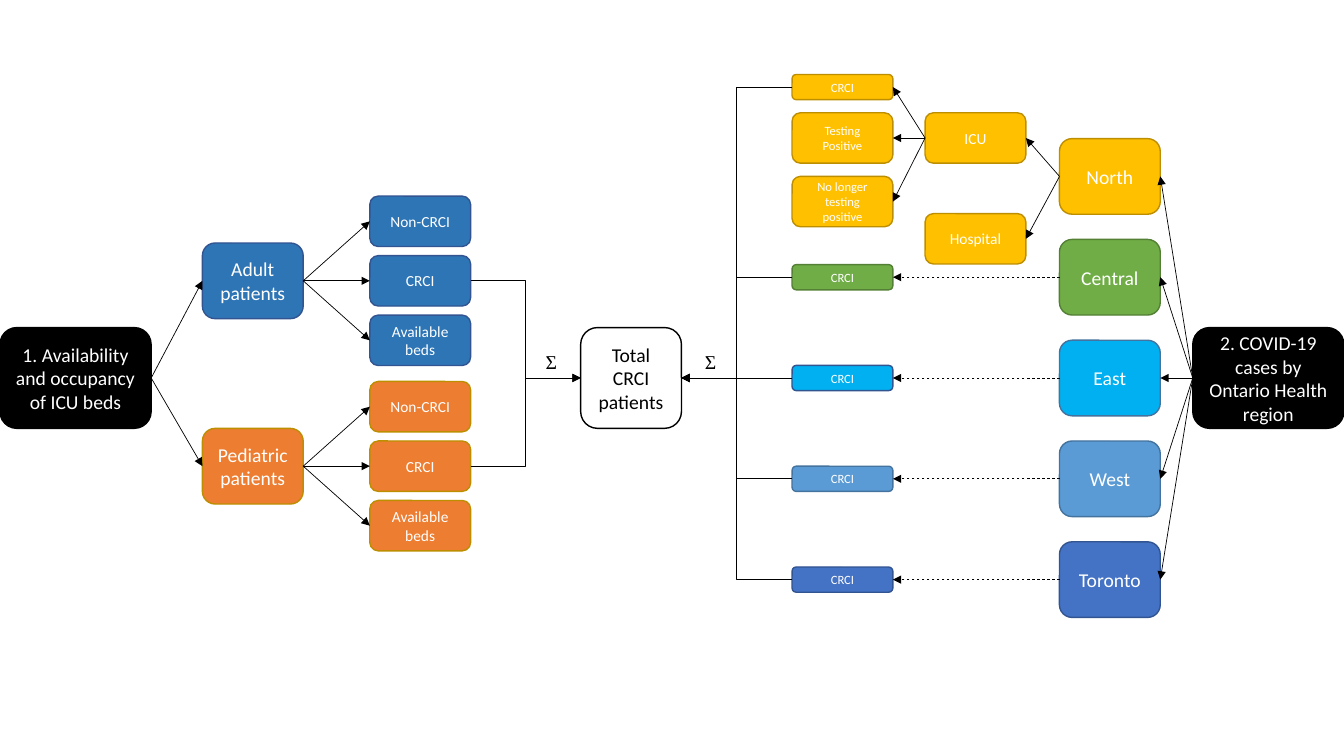
import dataclasses

import lxml.etree
import pptx
import pptx.dml.color
import pptx.enum.dml
import pptx.enum.shapes
import pptx.enum.text
import pptx.oxml.ns
import pptx.util

Pt = pptx.util.Pt
Link = pptx.enum.shapes.MSO_CONNECTOR
LEFT, RIGHT = 1, 3  # connection sites of a rounded rectangle


@dataclasses.dataclass
class Style:
    fill: str
    line: str
    ink: str = "FFFFFF"


@dataclasses.dataclass
class Size:
    width: float
    height: float
    font: float


@dataclasses.dataclass
class Region:
    name: str
    style: Style
    edge: str  # outline of the small CRCI box


# Sizes and colours
ROOT, TOTAL = Size(108, 72, 14), Size(72, 72, 14)
GROUP, LEAF = Size(72, 54, 14), Size(72, 36, 11)
NOTE, MINI = Size(72, 36, 9), Size(72, 18, 9)

BLACK = Style("000000", "000000")
WHITE = Style("FFFFFF", "000000", "000000")
BLUE = Style("2E75B6", "325491")
ORANGE = Style("ED7D31", "BD8E00")
GOLD = Style("FFC000", "BD8E00")

REGIONS = [
    Region("North", GOLD, "BD8E00"),
    Region("Central", Style("70AD47", "538035"), "538035"),
    Region("East", Style("00B0F0", "43739E"), "325491"),
    Region("West", Style("5B9BD5", "43739E"), "43739E"),
    Region("Toronto", Style("4472C4", "325491"), "325491"),
]

# Columns (left edges) and the middle row
GROUP_X, LEAF_X, TOTAL_X = 144.6, 264.2, 414.8
MINI_X, CARE_X, REGION_X, ROOT_X = 565.8, 660.8, 756.8, 852
MID = 270

deck = pptx.Presentation()
deck.slide_width, deck.slide_height = Pt(960), Pt(540)
slide = deck.slides.add_slide(deck.slide_layouts[6])


def color(code: str) -> pptx.dml.color.RGBColor:
    return pptx.dml.color.RGBColor.from_string(code)


def write(shape, text: str, font: str, size: float, ink: str) -> None:
    frame = shape.text_frame
    frame.text = text
    frame.word_wrap = True
    for para in frame.paragraphs:
        para.alignment = pptx.enum.text.PP_ALIGN.CENTER
        for run in para.runs:
            run.font.name = font
            run.font.size = Pt(size)
            run.font.color.rgb = color(ink)


def box(text: str, left: float, mid: float, size: Size, style: Style):
    """Draw a rounded box centred on the height mid."""
    shape = slide.shapes.add_shape(
        pptx.enum.shapes.MSO_SHAPE.ROUNDED_RECTANGLE,
        Pt(left), Pt(mid - size.height / 2), Pt(size.width), Pt(size.height))
    shape.shadow.inherit = False
    shape.fill.solid()
    shape.fill.fore_color.rgb = color(style.fill)
    shape.line.color.rgb = color(style.line)
    shape.line.width = Pt(1)
    write(shape, text, "Calibri", size.font, style.ink)
    shape.text_frame.vertical_anchor = pptx.enum.text.MSO_ANCHOR.MIDDLE
    return shape


def arrow(start, end, site: int, kind=Link.STRAIGHT, dashed: bool = False) -> None:
    """Join one side of start to the facing side of end."""
    link = slide.shapes.add_connector(kind, 0, 0, 0, 0)
    link.begin_connect(start, site)
    link.end_connect(end, LEFT + RIGHT - site)
    link.line.color.rgb = color("000000")
    link.line.width = Pt(0.5)
    if dashed:
        link.line.dash_style = pptx.enum.dml.MSO_LINE.DASH
    qn = pptx.oxml.ns.qn
    tip = lxml.etree.SubElement(link.line._get_or_add_ln(), qn("a:tailEnd"))
    tip.set("type", "triangle")
    lxml.etree.SubElement(link._element.spPr, qn("a:effectLst"))


def sigma(left: float) -> None:
    label = slide.shapes.add_textbox(Pt(left), Pt(249.8), Pt(23), Pt(17))
    frame = label.text_frame
    frame.margin_left = frame.margin_right = 0
    frame.margin_top = frame.margin_bottom = 0
    write(label, "Σ", "Times New Roman", 14, "000000")


# Roots and total
beds = box("1. Availability and occupancy of ICU beds", 0, MID, ROOT, BLACK)
cases = box("2. COVID-19 cases by Ontario Health region", ROOT_X, MID, ROOT, BLACK)
total = box("Total CRCI\npatients", TOTAL_X, MID, TOTAL, WHITE)

# Left tree: patient groups and their beds
for name, mid, style in [("Adult", 200.6, BLUE), ("Pediatric", 333, ORANGE)]:
    group = box(f"{name}\npatients", GROUP_X, mid, GROUP, style)
    arrow(beds, group, RIGHT)
    for step, text in enumerate(["Non-CRCI", "CRCI", "Available beds"], -1):
        leaf = box(text, LEAF_X, mid + 42.5 * step, LEAF, style)
        arrow(group, leaf, RIGHT)
        if text == "CRCI":
            arrow(leaf, total, RIGHT, Link.ELBOW)

# Right tree: regions, with North split by place of care
for row, region in enumerate(REGIONS, -2):
    mid = MID + 72 * row
    home = box(region.name, REGION_X, mid, GROUP, region.style)
    arrow(cases, home, LEFT)
    north = region.name == "North"
    mini = box("CRCI", MINI_X, 62.2 if north else mid, MINI,
               dataclasses.replace(region.style, line=region.edge))
    arrow(mini, total, LEFT, Link.STRAIGHT if row == 0 else Link.ELBOW)
    if not north:
        arrow(home, mini, LEFT, dashed=True)
        continue
    icu = box("ICU", CARE_X, 98.6, LEAF, GOLD)
    ward = box("Hospital", CARE_X, 170.6, LEAF, GOLD)
    test = box("Testing Positive", MINI_X, 98.6, NOTE, GOLD)
    past = box("No longer testing positive", MINI_X, 144, NOTE, GOLD)
    for start, end in [(home, icu), (home, ward), (icu, mini), (icu, test), (icu, past)]:
        arrow(start, end, LEFT)

# Sum signs
for left in (382.4, 496):
    sigma(left)

deck.save("out.pptx")
